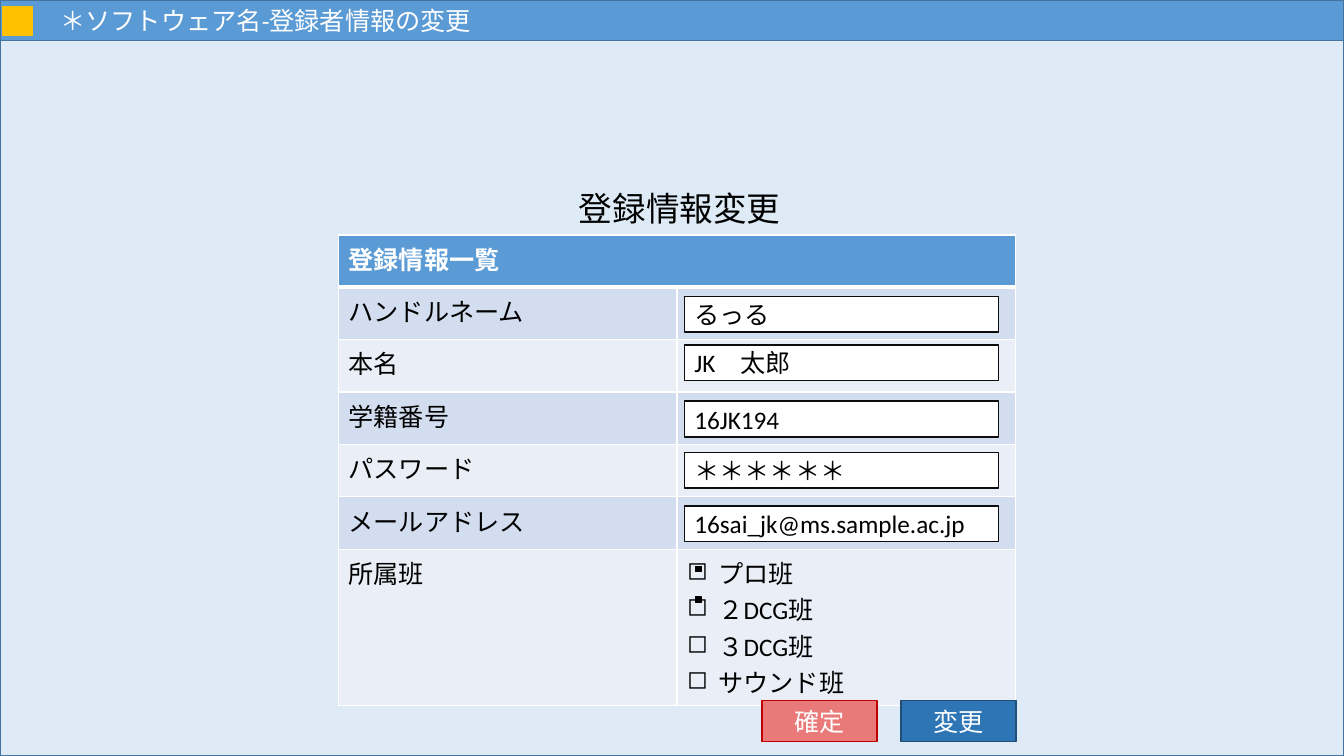
from dataclasses import dataclass

from lxml.etree import SubElement
from pptx import Presentation
from pptx.dml.color import RGBColor
from pptx.enum.shapes import MSO_SHAPE as Shape
from pptx.enum.text import MSO_ANCHOR as Anchor, MSO_AUTO_SIZE as AutoSize, PP_ALIGN as Align
from pptx.oxml.ns import qn
from pptx.util import Cm, Pt

FONT = "Calibri"
WHITE, BLACK = "FFFFFF", "000000"
BLUE, NAVY = "5B9BD5", "43739E"
BANDS = ("EAEFF7", "D2DEEF")
INSET = 0.25


@dataclass
class Box:
    left: float
    top: float
    width: float
    height: float
    fill: str
    line: str
    text: str = ""
    color: str = WHITE
    align: Align = Align.LEFT
    inset: float = INSET


def rgb(value: str) -> RGBColor:
    return RGBColor.from_string(value)


def set_font(p, color: str, size: int = 18, bold: bool = False) -> None:
    f = p.font
    f.name, f.size, f.bold = FONT, Pt(size), bold
    f.color.rgb = rgb(color)


def draw_box(box: Box) -> None:
    sp = slide.shapes.add_shape(Shape.RECTANGLE, Cm(box.left), Cm(box.top),
                                Cm(box.width), Cm(box.height))
    sp.shadow.inherit = False
    sp.fill.solid()
    sp.fill.fore_color.rgb = rgb(box.fill)
    sp.line.color.rgb = rgb(box.line)
    sp.line.width = Pt(1)
    if box.text:
        tf = sp.text_frame
        tf.word_wrap, tf.vertical_anchor = True, Anchor.MIDDLE
        tf.margin_left = Cm(box.inset)
        p = tf.paragraphs[0]
        p.text, p.alignment = box.text, box.align
        set_font(p, box.color)


def set_borders(cell, top: int = 1, bottom: int = 1) -> None:
    tc_pr = cell._tc.get_or_add_tcPr()
    for side, width in (("L", 1), ("R", 1), ("T", top), ("B", bottom)):
        ln = SubElement(tc_pr, qn(f"a:ln{side}"), w=str(Pt(width)))
        SubElement(SubElement(ln, qn("a:solidFill")), qn("a:srgbClr"), val=WHITE)


def add_bullet(p) -> None:
    p_pr = p._p.get_or_add_pPr()
    p_pr.set("marL", str(Cm(0.79)))
    p_pr.set("indent", str(-Cm(0.79)))
    SubElement(p_pr, qn("a:buChar"), char="◻")


prs = Presentation()
prs.slide_width, prs.slide_height = Cm(33.87), Cm(19.05)
slide = prs.slides.add_slide(prs.slide_layouts[6])

# Window background
draw_box(Box(0, 0, 33.87, 19.05, "DEEBF7", NAVY))

# Registration table
labels = ["登録情報一覧", "ハンドルネーム", "本名", "学籍番号", "パスワード", "メールアドレス", "所属班"]
teams = ["プロ班", "2DCG班".replace("2", "２"), "３DCG班", "サウンド班"]
table = slide.shapes.add_table(len(labels), 2, Cm(8.53), Cm(5.92),
                               Cm(17.06), Cm(11.25)).table
for row in table.rows:
    row.height = Cm(1.32)
table.rows[len(labels) - 1].height = Cm(3.33)
for i, label in enumerate(labels):
    header = i == 0
    table.cell(i, 0).text = label
    for cell in table.rows[i].cells:
        set_borders(cell, top=3 if i == 1 else 1, bottom=3 if header else 1)
        cell.fill.solid()
        cell.fill.fore_color.rgb = rgb(BLUE if header else BANDS[i % 2])
        set_font(cell.text_frame.paragraphs[0], WHITE if header else BLACK, bold=header)
table.cell(0, 0).merge(table.cell(0, 1))

# Team checkboxes
tf = table.cell(len(labels) - 1, 1).text_frame
tf.text = "\n".join(teams)
for p in tf.paragraphs:
    p_pr = p._p.get_or_add_pPr()
    for child in list(p_pr):
        p_pr.remove(child)
    add_bullet(p)
    set_font(p, BLACK)

# Title bar with icon
draw_box(Box(0, 0, 33.87, 1.02, BLUE, NAVY, "＊ソフトウェア名-登録者情報の変更", inset=1.52))
draw_box(Box(0.08, 0.17, 0.74, 0.72, "FFC000", "FFC000"))

# Heading
tf = slide.shapes.add_textbox(Cm(11.81), Cm(4.62), Cm(10.64), Cm(1.27)).text_frame
tf.word_wrap, tf.auto_size = True, AutoSize.SHAPE_TO_FIT_TEXT
p = tf.paragraphs[0]
p.text, p.alignment = "登録情報変更", Align.CENTER
set_font(p, BLACK, 24)

# Input fields
fields = [(7.47, "るっる"), (8.69, "JK　太郎"), (10.11, "16JK194"),
          (11.4, "＊＊＊＊＊＊"), (12.75, "16sai_jk@ms.sample.ac.jp")]
for top, value in fields:
    draw_box(Box(17.25, top, 7.92, 0.9, WHITE, "0D0D0D", value, BLACK))

# Check marks
for top in (14.27, 15.04):
    draw_box(Box(17.53, top, 0.15, 0.14, BLACK, BLACK))

# Buttons
for left, caption, fill, line in ((22.71, "変更", "2E75B6", "1F4E79"),
                                  (19.2, "確定", "EA7A7A", "C00000")):
    draw_box(Box(left, 17.65, 2.9, 1.04, fill, line, caption, align=Align.CENTER))

prs.save("out.pptx")
